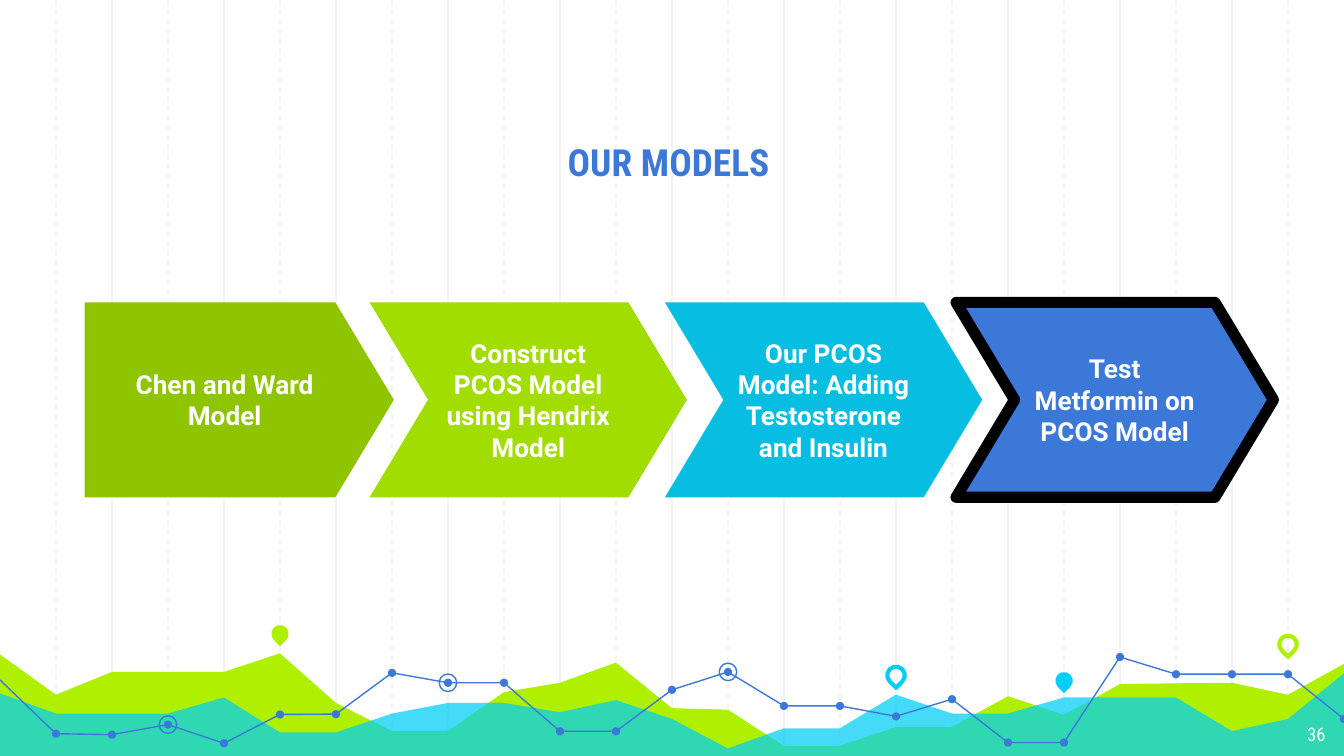
from dataclasses import dataclass

from lxml import etree
from pptx import Presentation
from pptx.dml.color import RGBColor
from pptx.enum import dml, shapes, text
from pptx.oxml import ns
from pptx.util import Pt


@dataclass(frozen=True)
class Theme:
    blue: str = "3C78D8"
    lime: str = "AFF000"
    cyan: str = "00CEF6"
    olive: str = "8EC400"
    leaf: str = "A1DD00"
    aqua: str = "07BEE2"
    grid: str = "F3F3F3"
    white: str = "FFFFFF"
    black: str = "000000"
    head: str = "Roboto Condensed"
    body: str = "Roboto"
    big: int = 20
    mid: int = 14
    small: int = 10


T = Theme()
KIND = shapes.MSO_SHAPE
ALIGN = text.PP_ALIGN
ANCHOR = text.MSO_ANCHOR
WIDE, HIGH = 720, 405
STEP = 30    # distance between grid lines
BASE = 406.5   # bottom of the areas
DOT, RING = 4.4, 9.4

# Heights at each grid line, from the left edge to the right edge
BACK = [350.6, 372.2, 360, 360, 360, 350, 376.6, 391.7, 391.7, 370.8, 365.8,
        355, 379.4, 380.2, 399.6, 399.6, 389.5, 389.5, 373, 383, 366.5,
        366.1, 365.8, 372.2, 355.7]
FRONT = [371.5, 382.3, 382.3, 382.3, 373.7, 392.4, 392.4, 382.3, 376.6, 376.6,
         381.6, 375.1, 385.2, 401, 390.2, 390.2, 372.2, 382.3, 382.3, 373.7,
         373.7, 373.7, 391.7, 385.2, 360.7]
TREND = [364.3, 393.1, 393.6, 388.2, 398.2, 382.8, 382.6, 360.5, 365.8, 365.8,
         391.8, 391.8, 369.6, 360, 378.2, 378.2, 383.8, 374.6, 397.8, 397.8,
         352, 361.2, 361.2, 361.2, 385.2]
RINGS = [3, 8, 13]

# Grid line, centre height, colour, filled or hollow
PINS = [(5, 339.5, T.lime, True), (16, 361.8, T.cyan, False),
        (19, 364.7, T.cyan, True), (23, 345.2, T.lime, False)]

# Left, width, shape, fill, outline, wording
STAGES = [
    (45.4, 165.6, KIND.PENTAGON, T.olive, None, "Chen and Ward Model"),
    (198, 170, KIND.CHEVRON, T.leaf, None,
     "Construct PCOS Model using Hendrix Model"),
    (356.2, 170, KIND.CHEVRON, T.aqua, None,
     "Our PCOS Model: Adding Testosterone and Insulin"),
    (512.2, 170, KIND.CHEVRON, T.blue, T.black,
     "Test Metformin on PCOS Model"),
]


def paint(shape, fill=None, line=None, width=0.75):
    shape.shadow.inherit = False
    if fill:
        shape.fill.solid()
        shape.fill.fore_color.rgb = RGBColor.from_string(fill)
    else:
        shape.fill.background()
    if line:
        shape.line.color.rgb = RGBColor.from_string(line)
        shape.line.width = Pt(width)
        etree.SubElement(shape.line._get_or_add_ln(), ns.qn("a:round"))
    else:
        shape.line.fill.background()


def write(shape, words, size, font, color, align, anchor, bold=False):
    frame = shape.text_frame
    frame.word_wrap = True
    frame.auto_size = text.MSO_AUTO_SIZE.NONE
    frame.vertical_anchor = anchor
    frame.margin_left = frame.margin_right = Pt(7.2)
    frame.margin_top = frame.margin_bottom = Pt(7.2)
    par = frame.paragraphs[0]
    par.alignment = align
    run = par.add_run()
    run.text = words
    run.font.size = Pt(size)
    run.font.name = font
    run.font.bold = bold
    run.font.color.rgb = RGBColor.from_string(color)


def rule(slide, x, dash):
    line = slide.shapes.add_connector(
        shapes.MSO_CONNECTOR.STRAIGHT, Pt(x), 0, Pt(x), Pt(BASE))
    line.line.color.rgb = RGBColor.from_string(T.grid)
    line.line.width = Pt(0.75)
    if dash:
        line.line.dash_style = dml.MSO_LINE.DASH
    etree.SubElement(line._element.spPr, ns.qn("a:effectLst"))


def trace(slide, points, close):
    spots = [(Pt(x), Pt(y)) for x, y in points]
    pen = slide.shapes.build_freeform(*spots[0])
    pen.add_line_segments(spots[1:], close=close)
    return pen.convert_to_shape()


def spread(levels):
    return [(i * STEP, y) for i, y in enumerate(levels)]


def area(slide, levels, color, alpha=None):
    points = spread(levels) + [(WIDE, BASE), (0, BASE)]
    shape = trace(slide, points, True)
    paint(shape, fill=color)
    if alpha:
        tint = shape._element.spPr.find(".//" + ns.qn("a:srgbClr"))
        etree.SubElement(tint, ns.qn("a:alpha"), val=str(alpha * 1000))


def mark(slide, kind, x, y, size, **look):
    shape = slide.shapes.add_shape(
        kind, Pt(x - size / 2), Pt(y - size / 2), Pt(size), Pt(size))
    paint(shape, **look)
    return shape


def pin(slide, col, y, color, full):
    look = {"fill": color} if full else {"line": color, "width": 2.25}
    drop = mark(slide, KIND.TEAR, col * STEP, y, RING, **look)
    drop.rotation = 135


def stage(slide, left, width, kind, fill, line, words):
    shape = slide.shapes.add_shape(
        kind, Pt(left), Pt(162), Pt(width), Pt(104.4))
    shape.adjustments[0] = 0.3
    paint(shape, fill, line, 6)
    write(shape, words, T.mid, T.body, T.white, ALIGN.CENTER,
          ANCHOR.MIDDLE, True)


def scene(slide):
    # Grid: solid on even lines, dashed on odd ones
    for i in range(1, WIDE // STEP):
        rule(slide, i * STEP, i % 2 == 1)
    # Areas
    area(slide, BACK, T.lime)
    area(slide, FRONT, T.cyan, 73)
    # Trend line with dots, rings and pins
    spots = spread(TREND)
    paint(trace(slide, spots, False), line=T.blue)
    for x, y in spots[1:]:
        mark(slide, KIND.OVAL, x, y, DOT, fill=T.blue)
    for i in RINGS:
        mark(slide, KIND.OVAL, *spots[i], RING, line=T.blue)
    for item in PINS:
        pin(slide, *item)


def title(slide, words):
    shape = slide.shapes.title
    shape.left, shape.top = Pt(82.8), Pt(49.7)
    shape.width, shape.height = Pt(550.8), Pt(56.2)
    write(shape, words, T.big, T.head, T.blue, ALIGN.CENTER,
          ANCHOR.BOTTOM, True)
    slide.shapes._spTree.append(shape._element)  # bring in front of the grid


def number(slide, words):
    box = slide.shapes.add_textbox(Pt(674), Pt(380.2), Pt(43.2), Pt(25.2))
    write(box, words, T.small, T.head, T.white, ALIGN.RIGHT, ANCHOR.TOP)


def main():
    deck = Presentation()
    deck.slide_width, deck.slide_height = Pt(WIDE), Pt(HIGH)
    slide = deck.slides.add_slide(deck.slide_layouts[5])
    scene(slide)
    title(slide, "OUR MODELS")
    for item in STAGES:
        stage(slide, *item)
    number(slide, "36")
    deck.save("out.pptx")


if __name__ == "__main__":
    main()
